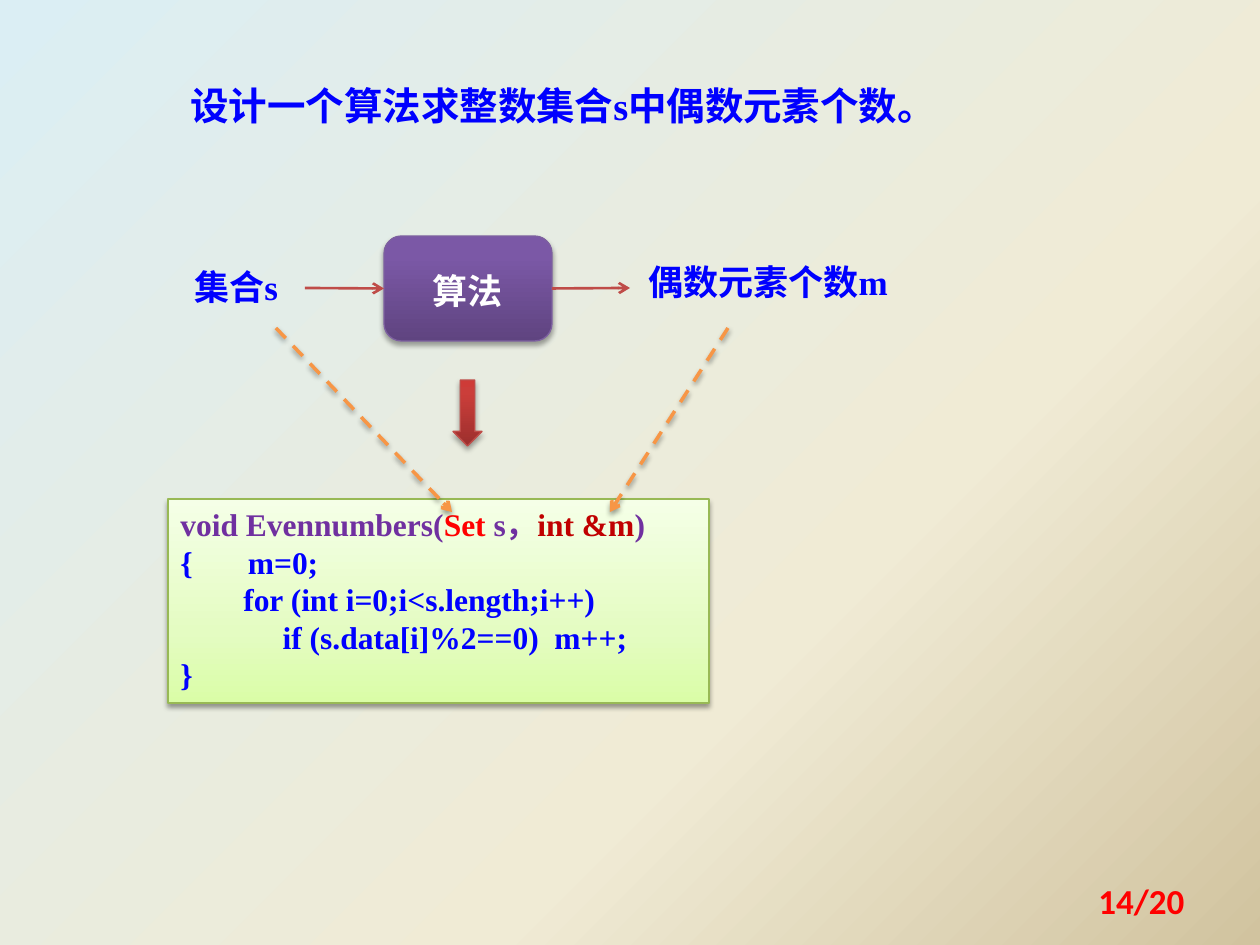
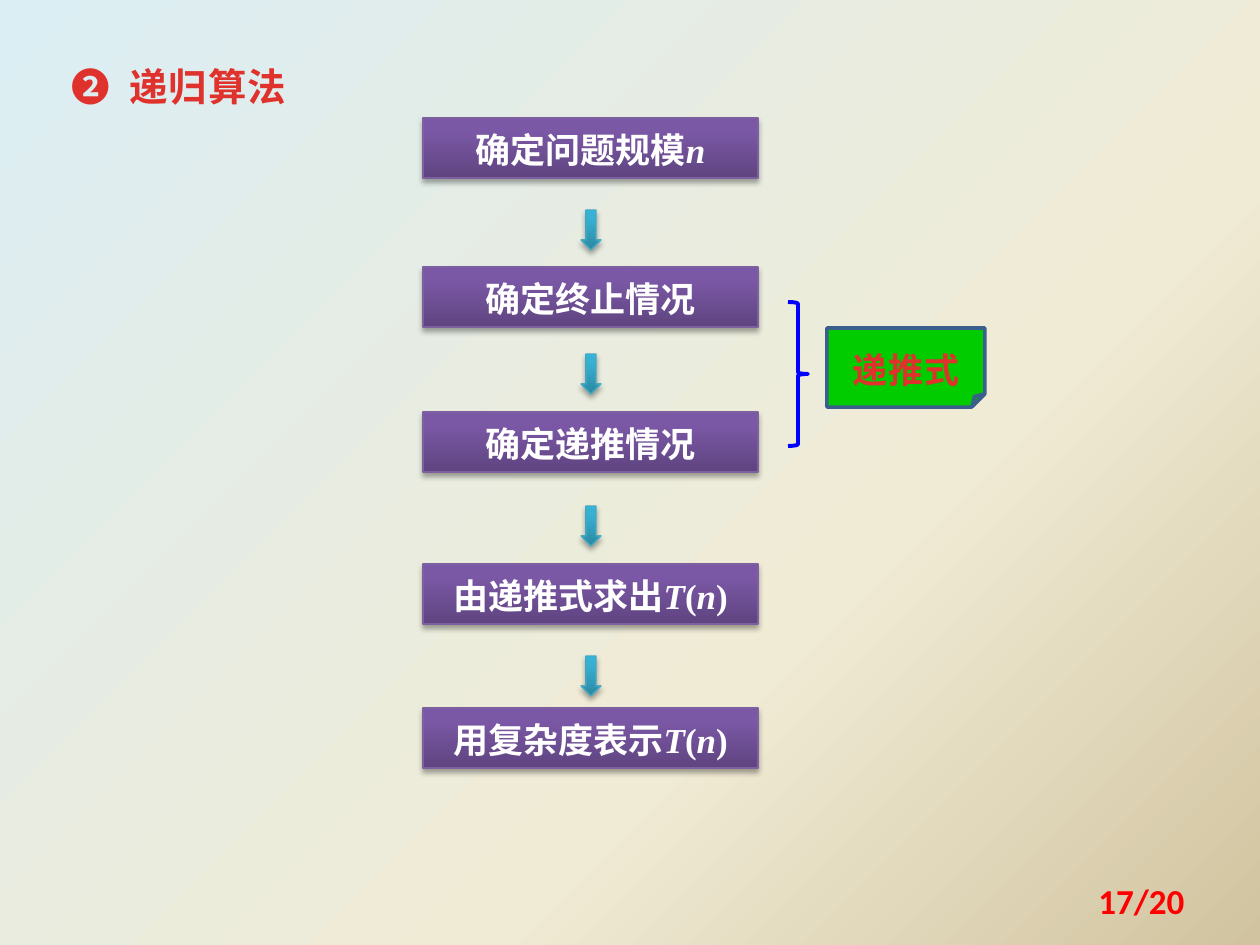
from lxml.etree import SubElement
from pptx import Presentation
from pptx.dml.color import RGBColor
from pptx.enum.dml import MSO_LINE
from pptx.enum.shapes import MSO_CONNECTOR, MSO_SHAPE
from pptx.enum.text import MSO_ANCHOR, MSO_AUTO_SIZE, PP_ALIGN
from pptx.oxml.ns import qn
from pptx.util import Pt

PX = 914400 / 126
SERIF, SANS, CALIBRI = "Times New Roman", "Noto Sans CJK SC", "Calibri"

BLACK = RGBColor(0x00, 0x00, 0x00)
WHITE = RGBColor(0xFF, 0xFF, 0xFF)
BLUE = RGBColor(0x00, 0x00, 0xFF)
RED = RGBColor(0xFF, 0x00, 0x00)
DARK = RGBColor(0xC0, 0x00, 0x00)
VIOLET = RGBColor(0x70, 0x30, 0xA0)
PLUM = RGBColor(0x7D, 0x60, 0xA0)
BRICK = RGBColor(0xBF, 0x4C, 0x48)
LIME = RGBColor(0x98, 0xB9, 0x55)
TEAL = RGBColor(0x46, 0xAA, 0xC5)
ORANGE = RGBColor(0xF7, 0x96, 0x46)
GREEN = RGBColor(0x00, 0xCC, 0x00)
NAVY = RGBColor(0x3A, 0x5F, 0x8C)


def blend(angle, *stops):
    return angle, [(at, RGBColor.from_string(tone)) for at, tone in stops]


SKY = blend(45, (0, "DBEEF4"), (65, "F0EBD5"), (100, "D1C39F"))
PURPLE = blend(270, (0, "5F4480"), (80, "7B58A6"), (100, "7C57A8"))
CRIMSON = blend(270, (0, "9C2F2D"), (80, "CB3E3A"), (100, "CE3B37"))
PALE = blend(270, (0, "DAFDA7"), (35, "E4FCC2"), (100, "F5FFE7"))
CYAN = blend(270, (0, "2A88A2"), (80, "37B1D2"), (100, "34B4D6"))
RUBY = blend(90, (25, "E0322D"), (100, "A2201C"))


def px(*values):
    return [round(v * PX) for v in values]


def paint(fill, node, color):
    """Fill with one colour, a blend, or nothing; node holds the fill's XML."""
    if color is None:
        fill.background()
    elif isinstance(color, RGBColor):
        fill.solid()
        fill.fore_color.rgb = color
    else:
        angle, stops = color
        fill.gradient()
        grad = next(node.iter(qn("a:gradFill")))
        grad.find(qn("a:lin")).set("ang", str(angle * 60000))
        items = grad.find(qn("a:gsLst"))
        items.clear()
        for at, tone in stops:
            stop = SubElement(items, qn("a:gs"), pos=str(at * 1000))
            SubElement(stop, qn("a:srgbClr"), val=str(tone))


def shade(effects, alpha):
    """Add a soft shadow that falls straight down."""
    cast = SubElement(effects, qn("a:outerShdw"), blurRad=str(Pt(3.1)),
                      dist=str(Pt(1.8)), dir="5400000", rotWithShape="0")
    tone = SubElement(cast, qn("a:srgbClr"), val=str(BLACK))
    SubElement(tone, qn("a:alpha"), val=str(alpha * 1000))


class Deck:
    def __init__(self):
        self.prs = Presentation()
        self.prs.slide_width, self.prs.slide_height = px(1260, 945)
        master = self.prs.slide_master
        paint(master.background.fill, master.element, SKY)

    def page(self, number):
        self.slide = self.prs.slides.add_slide(self.prs.slide_layouts[5])
        self.label((903, 876, 294, 50), [(number, RED)], font=CALIBRI,
                   align=PP_ALIGN.RIGHT, anchor=MSO_ANCHOR.MIDDLE, lead=1.0)

    def text(self, shape, paras, size=20, font=SERIF, align=PP_ALIGN.CENTER,
             anchor=MSO_ANCHOR.TOP, lead=1.1, track=0):
        """Each paragraph is a list of runs: (words, colour[, italic])."""
        frame = shape.text_frame
        frame.word_wrap = True
        frame.auto_size = MSO_AUTO_SIZE.NONE
        frame.vertical_anchor = anchor
        for i, runs in enumerate(paras):
            para = frame.add_paragraph() if i else frame.paragraphs[0]
            para.alignment, para.line_spacing = align, lead
            for words, color, *italic in runs:
                run = para.add_run()
                run.text = words
                run.font.name, run.font.size = font, Pt(size)
                run.font.bold, run.font.italic = True, bool(italic)
                props = run._r.get_or_add_rPr()
                paint(run.font.fill, props, color)
                SubElement(props, qn("a:ea"), typeface=SANS)
                if track:
                    props.set("spc", str(track))

    def title(self, box, runs, **style):
        shape = self.slide.shapes.title
        shape.left, shape.top, shape.width, shape.height = px(*box)
        self.text(shape, [runs], size=22, align=PP_ALIGN.LEFT, **style)
        return shape

    def label(self, box, runs, **style):
        self.text(self.slide.shapes.add_textbox(*px(*box)), [runs], **style)

    def shape(self, kind, box, fill, edge, width=0.75, shadow=35):
        shape = self.slide.shapes.add_shape(kind, *px(*box))
        shape.shadow.inherit = False
        props = shape._element.spPr
        paint(shape.fill, props, fill)
        shape.line.color.rgb, shape.line.width = edge, Pt(width)
        if shadow:
            shade(props.find(qn("a:effectLst")), shadow)
        return shape

    def arrow(self, ends, color, width, dash=False):
        line = self.slide.shapes.add_connector(MSO_CONNECTOR.STRAIGHT, *px(*ends))
        line.line.color.rgb, line.line.width = color, Pt(width)
        if dash:
            line.line.dash_style = MSO_LINE.DASH
        props = line._element.spPr
        SubElement(props.find(qn("a:ln")), qn("a:tailEnd"), type="arrow")
        effects = SubElement(props, qn("a:effectLst"))
        if dash:
            shade(effects, 38)
        return line


def count(deck):
    """Slide on counting the even members of a set."""
    deck.page("14/20")
    deck.title((178, 66, 777, 125), [("设计一个算法求整数集合s中偶数元素个数。", BLUE)],
               lead=Pt(32))
    box = deck.shape(MSO_SHAPE.ROUNDED_RECTANGLE, (384, 236, 168, 105), PURPLE, PLUM)
    deck.text(box, [[("算法", WHITE)]], font=SANS, anchor=MSO_ANCHOR.MIDDLE)
    deck.arrow((305, 288, 384, 288), BRICK, 1.5).end_connect(box, 1)
    deck.arrow((552, 288, 630, 288), BRICK, 1.5).begin_connect(box, 3)
    deck.label((157, 255, 158, 59), [("集合s", BLUE)])
    deck.label((630, 250, 276, 59), [("偶数元素个数m", BLUE)])
    deck.shape(MSO_SHAPE.DOWN_ARROW, (453, 380, 29, 66), CRIMSON, BRICK)
    code = deck.shape(MSO_SHAPE.RECTANGLE, (168, 499, 541, 204), PALE, LIME, shadow=38)
    head = [("void Evennumbers(", VIOLET), ("Set", RED), (" s，", VIOLET),
            ("int &m", DARK), (")", VIOLET)]
    body = ["{       m=0;",
            "        for (int i=0;i<s.length;i++)",
            "             if (s.data[i]%2==0)  m++;",
            "}"]
    deck.text(code, [head] + [[(line, BLUE)] for line in body], size=18,
              align=PP_ALIGN.LEFT, lead=Pt(21.5))
    for start, end in ((276, 452), (728, 610)):
        deck.arrow((start, 328, end, 512), ORANGE, 2, dash=True)


def recur(deck):
    """Slide on the steps for a recursive algorithm."""
    deck.page("17/20")
    title = deck.title((59, 52, 315, 64), [("❷\t递归算法", RUBY)], font=SANS, track=50)
    props = title.text_frame.paragraphs[0]._p.get_or_add_pPr()
    hang = px(58)[0]
    props.set("marL", str(hang))
    props.set("indent", str(-hang))

    cost = [("T", WHITE, True), ("(", WHITE), ("n", WHITE, True), (")", WHITE)]
    steps = [(118, "确定问题规模", [("n", WHITE, True)]),
             (267, "确定终止情况", []),
             (412, "确定递推情况", []),
             (564, "由递推式求出", cost),
             (708, "用复杂度表示", cost)]
    for top, words, tail in steps:
        step = deck.shape(MSO_SHAPE.RECTANGLE, (423, top, 335, 60), PURPLE, PLUM)
        deck.text(step, [[(words, WHITE)] + tail])
    for top in (210, 354, 506, 656):
        deck.shape(MSO_SHAPE.DOWN_ARROW, (581, top, 20, 40), CYAN, TEAL)
    deck.shape(MSO_SHAPE.RIGHT_BRACE, (788, 302, 20, 144), None, BLUE, 2.25, shadow=0)
    note = deck.shape(MSO_SHAPE.FOLDED_CORNER, (827, 328, 158, 79), GREEN, NAVY, 2,
                      shadow=0)
    deck.text(note, [[("递推式", RUBY)]], anchor=MSO_ANCHOR.MIDDLE, lead=1.4, track=50)


def main():
    deck = Deck()
    count(deck)
    recur(deck)
    deck.prs.save("out.pptx")


if __name__ == "__main__":
    main()
